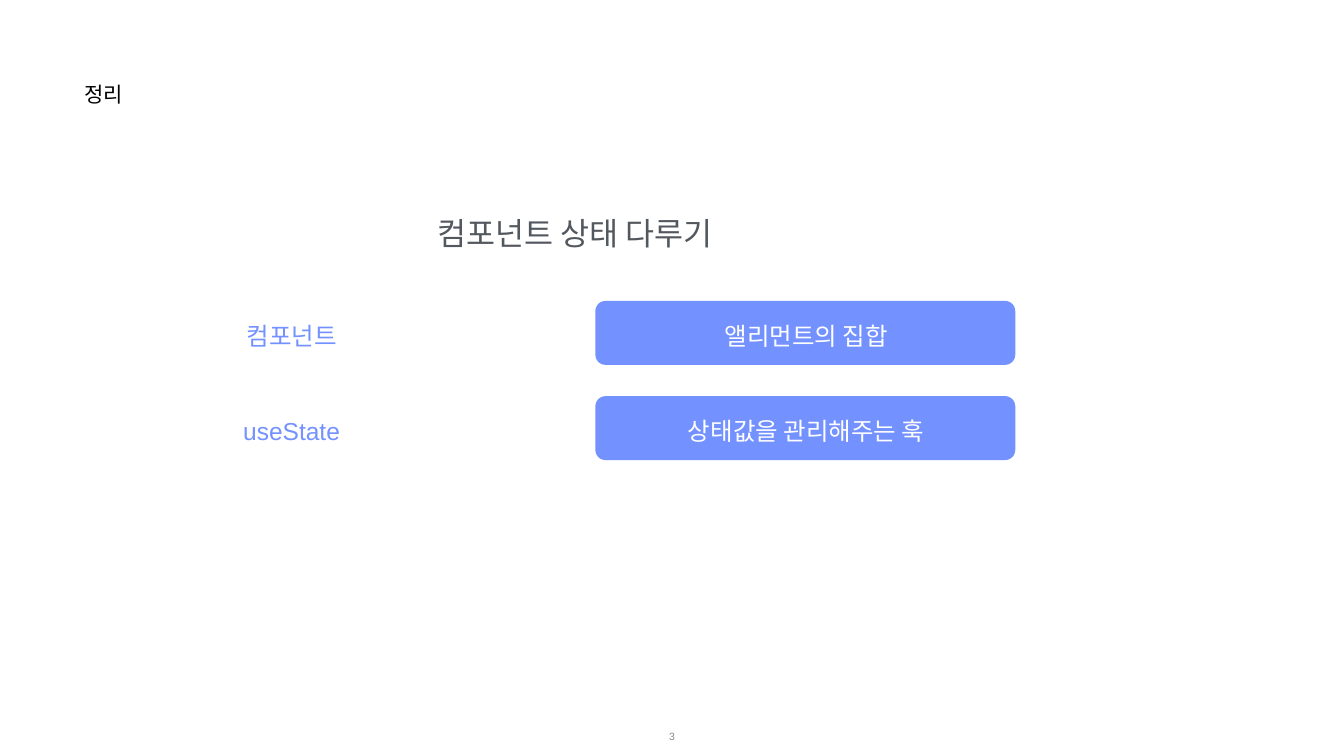
import pptx
import pptx.dml.color
import pptx.enum.shapes
import pptx.enum.text
import pptx.util

Inches = pptx.util.Inches
ALIGN = pptx.enum.text.PP_ALIGN
ANCHOR = pptx.enum.text.MSO_ANCHOR
COLORS = {
    "background": "FFFFFF",
    "title": "000000",
    "heading": "53585F",
    "accent": "7391FF",
    "on_accent": "FFFFFF",
    "page": "888888",
}


def rgb(name):
    return pptx.dml.color.RGBColor.from_string(COLORS[name])


class SlideBuilder:
    font = "Arial"
    inset = 0.01

    def __init__(self, prs):
        self.s = prs.slides.add_slide(prs.slide_layouts[5])
        fill = self.s.background.fill
        fill.solid()
        fill.fore_color.rgb = rgb("background")

    def set_text(self, sp, text, size, color, align, anchor):
        tf = sp.text_frame
        margins = ("margin_left", "margin_top", "margin_right", "margin_bottom")
        frame = {name: Inches(self.inset) for name in margins}
        frame.update(word_wrap=True, vertical_anchor=anchor,
                     auto_size=pptx.enum.text.MSO_AUTO_SIZE.NONE)
        for name, value in frame.items():
            setattr(tf, name, value)
        p = tf.paragraphs[0]
        p.alignment = align
        p.space_before = pptx.util.Pt(0)
        r = p.add_run()
        r.text = text
        style = {"name": self.font, "size": pptx.util.Pt(size), "bold": False}
        for name, value in style.items():
            setattr(r.font, name, value)
        r.font.color.rgb = rgb(color)

    def title(self, text, box, size):
        sp = self.s.shapes.title
        for name, value in zip(("left", "top", "width", "height"), box):
            setattr(sp, name, Inches(value))
        self.set_text(sp, text, size, "title", ALIGN.LEFT, ANCHOR.TOP)

    def text(self, text, box, size, color, anchor=ANCHOR.MIDDLE):
        sp = self.s.shapes.add_textbox(*map(Inches, box))
        self.set_text(sp, text, size, color, ALIGN.CENTER, anchor)

    def panel(self, box, color):
        kind = pptx.enum.shapes.MSO_SHAPE.ROUNDED_RECTANGLE
        sp = self.s.shapes.add_shape(kind, *map(Inches, box))
        sp.adjustments[0] = 0.16
        sp.shadow.inherit = False
        sp.fill.solid()
        sp.fill.fore_color.rgb = rgb(color)
        sp.line.fill.background()


def main():
    prs = pptx.Presentation()
    prs.slide_width = Inches(26.66)
    prs.slide_height = Inches(15)

    slide = SlideBuilder(prs)
    slide.title("정리", (1.67, 1.6, 4.86, 1.18), 30)
    slide.text("컴포넌트 상태 다루기", (2.64, 4.24, 17.54, 0.79), 45, "heading", ANCHOR.TOP)

    terms = [("컴포넌트", "앨리먼트의 집합"), ("useState", "상태값을 관리해주는 훅")]
    first_top, row_pitch, text_drop = 5.97, 1.89, 0.38
    for i, (term, meaning) in enumerate(terms):
        top = first_top + i * row_pitch
        slide.panel((11.81, top, 8.33, 1.27), "accent")
        slide.text(term, (2.66, top + text_drop, 6.25, 0.62), 35, "accent")
        slide.text(meaning, (11.83, top + text_drop, 8.33, 0.62), 35, "on_accent")

    slide.text("3", (10.33, 14.21, 6, 0.79), 15, "page")
    prs.save("out.pptx")


if __name__ == "__main__":
    main()
